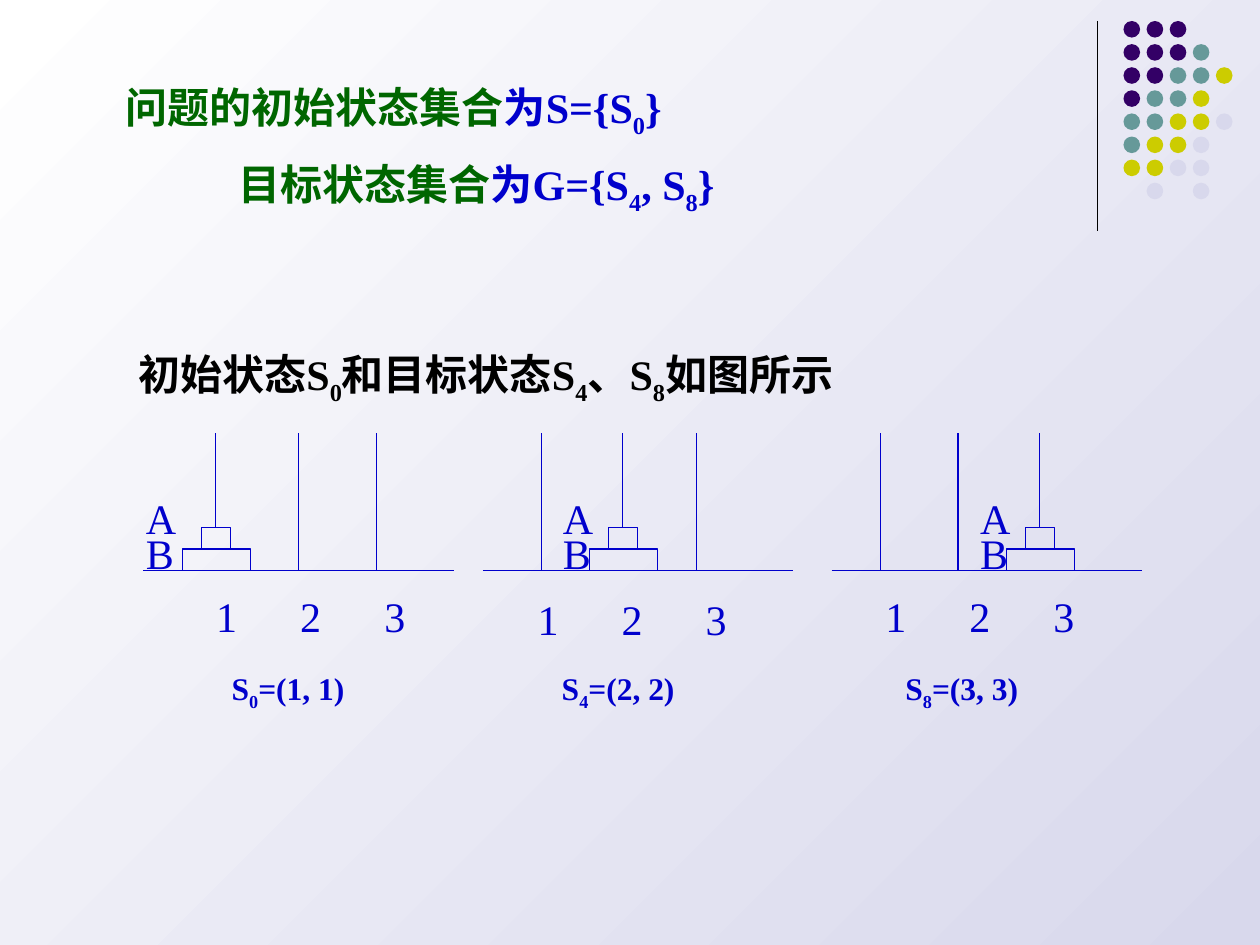
from pptx import Presentation
from pptx import util as u
from pptx.dml.color import RGBColor
from pptx.enum import shapes, text
from pptx.oxml.ns import qn
from lxml import etree

BLUE, GREEN, BLACK = "0000CC", "006600", "000000"
PURPLE, TEAL, YELLOW, LAVENDER = "330066", "669999", "CCCC00", "D8D8EC"


def rgb(code):
    return RGBColor.from_string(code)


class Board:
    """The current slide together with its font and line style."""
    font = "Times New Roman"
    line_width = u.Pt(0.75)

    def __init__(self, slide):
        self.slide = slide

    def background(self, start, end):
        fill = self.slide.background.fill
        fill.gradient()
        fill.gradient_angle = 135
        for stop, color in zip(fill.gradient_stops, (start, end)):
            stop.color.rgb = rgb(color)

    def line(self, x1, y1, x2, y2, color=BLUE):
        line = self.slide.shapes.add_connector(
            shapes.MSO_CONNECTOR.STRAIGHT, u.Pt(x1), u.Pt(y1), u.Pt(x2), u.Pt(y2))
        line.line.color.rgb = rgb(color)
        line.line.width = self.line_width
        etree.SubElement(line._element.spPr, qn("a:effectLst"))

    def shape(self, kind, x, y, w, h):
        shape = self.slide.shapes.add_shape(kind, u.Pt(x), u.Pt(y), u.Pt(w), u.Pt(h))
        shape.shadow.inherit = False
        return shape

    def dot(self, x, y, size, color):
        dot = self.shape(shapes.MSO_SHAPE.OVAL, x, y, size, size)
        dot.fill.solid()
        dot.fill.fore_color.rgb = rgb(color)
        dot.line.fill.background()

    def block(self, x, y, w, h):
        block = self.shape(shapes.MSO_SHAPE.RECTANGLE, x, y, w, h)
        block.fill.background()
        block.line.color.rgb = rgb(BLUE)
        block.line.width = self.line_width

    def text(self, x, y, w, h, paragraphs, size=24, bold=False, wrap=True,
             before=0, spacing=None, inset=7.2, indents=(), tabs=()):
        """Each paragraph is a list of (words, color); "_" starts a subscript."""
        box = self.slide.shapes.add_textbox(u.Pt(x), u.Pt(y), u.Pt(w), u.Pt(h))
        frame = box.text_frame
        frame.word_wrap = wrap
        frame.auto_size = text.MSO_AUTO_SIZE.SHAPE_TO_FIT_TEXT
        frame.margin_left = u.Pt(inset)
        for i, runs in enumerate(paragraphs):
            par = frame.add_paragraph() if i else frame.paragraphs[0]
            props = par._p.get_or_add_pPr()
            if i < len(indents):
                props.set("marL", str(u.Pt(indents[i])))
                props.set("indent", "0")
            if tabs:
                tab_list = etree.SubElement(props, qn("a:tabLst"))
                for tab in tabs:
                    etree.SubElement(tab_list, qn("a:tab"), pos=str(u.Pt(tab)), algn="l")
            if spacing:
                par.line_spacing = spacing
            if i:
                par.space_before = u.Pt(before)
            for words, color in runs:
                run = par.add_run()
                run.text = words.lstrip("_")
                run.font.name = self.font
                run.font.size = u.Pt(size)
                run.font.bold = bold
                run.font.color.rgb = rgb(color)
                if words.startswith("_"):
                    run.font._element.set("baseline", "-25000")


def corner_dots(board):
    colors = {"P": PURPLE, "T": TEAL, "Y": YELLOW, "L": LAVENDER}
    rows = ["PPP", "PPPT", "PPTTY", "PTTY", "TTYYL", "TYYL", "YYLL", " L L"]
    pitch = 13.2
    board.line(627, 12, 627, 132, BLACK)
    for r, row in enumerate(rows):
        for c, key in enumerate(row):
            if key in colors:
                board.dot(642 + c * pitch, 12 + r * pitch, 9.5, colors[key])


def puzzle_state(board, number, peg, ground, pegs, disks_x, digits, caption_x):
    floor, disk_top, peg_top = 326, 301.5, 247.7
    # Ground, pegs and the two stacked disks
    board.line(ground, floor, ground + 177.3, floor)
    for i, x in enumerate(pegs, 1):
        board.line(x, disk_top if i == peg else floor, x, peg_top)
    stack = pegs[peg - 1]
    board.block(stack - 19, 313.8, 38.9, 12.2)
    board.block(stack - 8, disk_top, 16.5, 12.3)
    # Disk names, peg numbers and the state
    board.text(disks_x, 290.2, 28, 42.5, [[("A", BLUE)], [("B", BLUE)]],
               spacing=0.5, before=6, wrap=False)
    board.text(*digits, 144, 36, [[("1\t2\t3", BLUE)]], inset=19.2, tabs=(48, 96))
    board.text(caption_x, 378.7, 84, 31.7,
               [[("S", BLUE), (f"_{number}", BLUE), (f"=({peg}, {peg})", BLUE)]],
               size=18, bold=True, wrap=False)


def main():
    prs = Presentation()
    prs.slide_width, prs.slide_height = u.Pt(720), u.Pt(540)
    board = Board(prs.slides.add_slide(prs.slide_layouts[6]))
    board.background(LAVENDER, "FFFFFF")
    corner_dots(board)

    # Initial and goal sets
    initial = [("问题的初始状态集合", GREEN), ("为S={S", BLUE), ("_0", BLUE), ("}", BLUE)]
    goal = [("目标状态集合", GREEN), ("为G={S", BLUE), ("_4", BLUE),
            (", S", BLUE), ("_8", BLUE), ("}", BLUE)]
    board.text(64.8, 43.2, 544.3, 84.2, [initial, goal], bold=True,
               before=11.2, indents=(0, 64.5))

    # Lead-in to the three diagrams
    lead_in = ["初始状态S", "_0", "和目标状态S", "_4", "、S", "_8", "如图所示"]
    board.text(72, 195.8, 575.3, 40.3, [[(words, BLACK) for words in lead_in]], bold=True)

    # State diagrams
    puzzle_state(board, 0, 1, 82, (123.3, 170.6, 215.2), 76.3, (104.4, 334), 125.3)
    puzzle_state(board, 4, 2, 276, (309.4, 355.9, 398), 314.6, (288, 335.5), 313.9)
    puzzle_state(board, 8, 3, 475.3, (503.2, 547.4, 594), 553, (486.7, 334), 510.3)
    prs.save("out.pptx")


if __name__ == "__main__":
    main()
